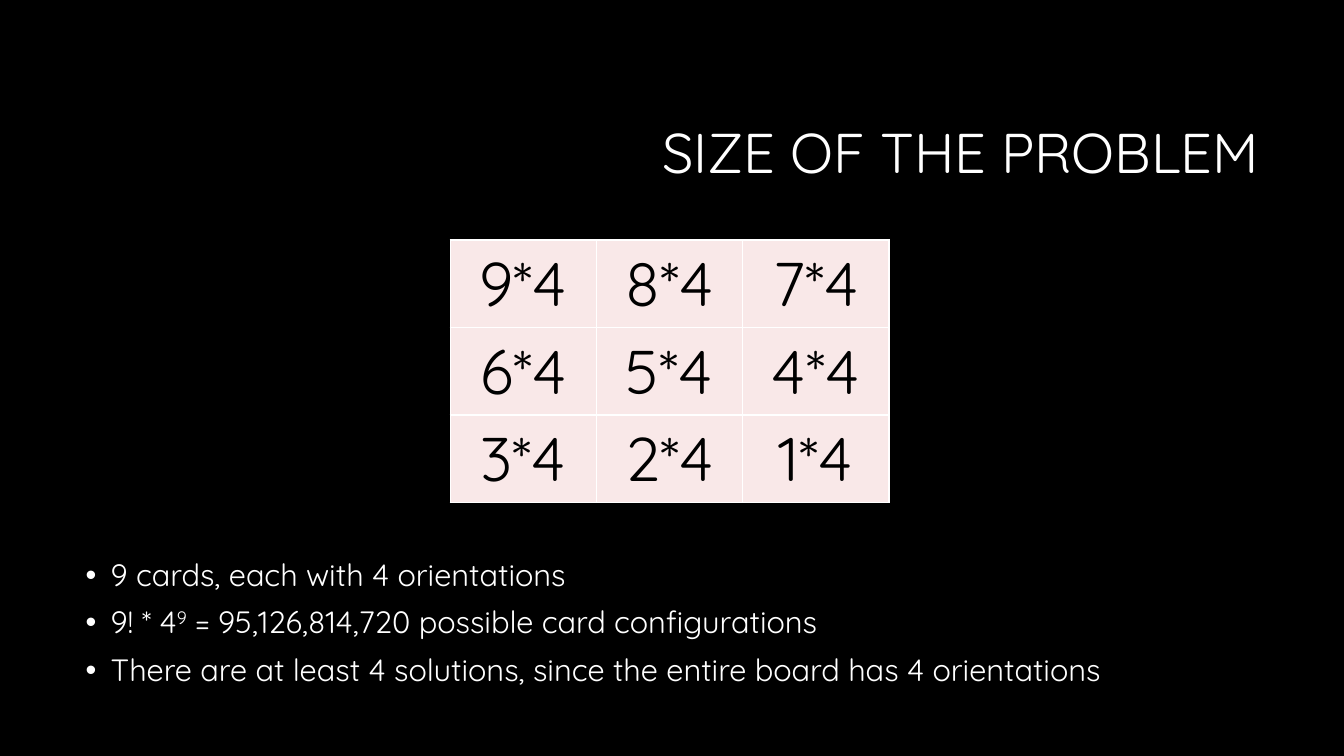
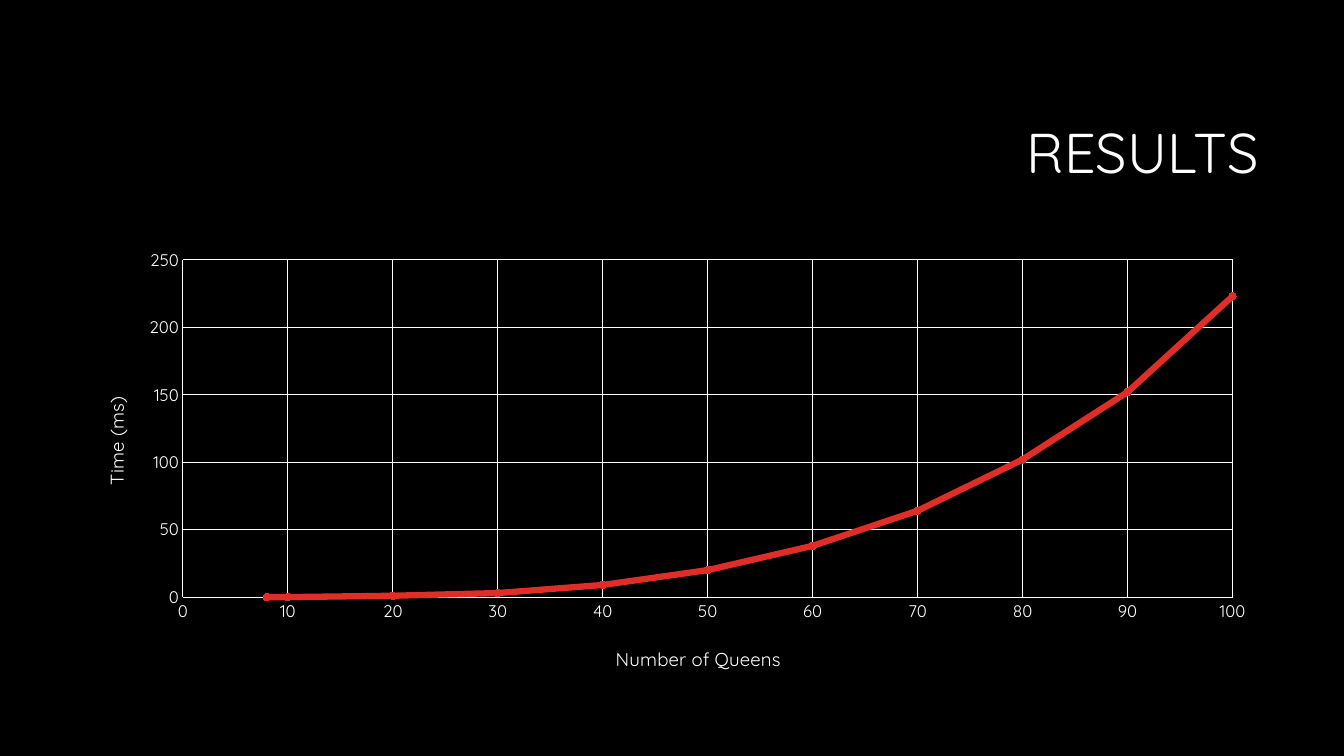
"""Builds two dark slides: the size of a card puzzle and timing results."""
from lxml import etree
from pptx import Presentation
from pptx import util as u
from pptx.chart.data import XyChartData
from pptx.dml.color import RGBColor
from pptx.enum import chart as ch, text
from pptx.oxml import ns

Pt = u.Pt
FONT = "Quicksand"
BLACK = RGBColor(0x00, 0x00, 0x00)
WHITE = RGBColor(0xFF, 0xFF, 0xFF)
PINK = RGBColor(0xF9, 0xE8, 0xE8)
RED = RGBColor(0xDF, 0x2E, 0x28)
LEFT, WIDTH = 54, 852
LINE_SPACING = 0.9

BULLETS = [
    ["9 cards, each with 4 orientations"],
    ["9! * 4", "9", " = 95,126,814,720 possible card configurations"],
    ["There are at least 4 solutions, since the entire board has 4 orientations"],
]
QUEENS = [8, 10, 20, 30, 40, 50, 60, 70, 80, 90, 100]
TIMES = [0, 0, 1, 3, 9, 20, 38, 64, 102, 152, 223]


def style_font(font, size, color=WHITE):
    """Apply the deck's typeface with a size and colour."""
    font.name = FONT
    font.size = Pt(size)
    font.bold = False
    font.color.rgb = color


def add_child(parent, tag, **attributes):
    """Append an XML child with the given attributes."""
    child = etree.SubElement(parent, ns.qn(tag))
    for name, value in attributes.items():
        child.set(name, str(value))
    return child


def add_titled_slide(deck, heading):
    """Add a black slide with a right-aligned title."""
    slide = deck.slides.add_slide(deck.slide_layouts[5])
    slide.background.fill.solid()
    slide.background.fill.fore_color.rgb = BLACK
    title = slide.shapes.title
    title.left, title.top, title.width, title.height = Pt(228), Pt(60.5), Pt(678.5), Pt(101.5)
    frame = title.text_frame
    frame.text = heading
    frame.auto_size = text.MSO_AUTO_SIZE.NONE
    frame.vertical_anchor = text.MSO_ANCHOR.MIDDLE
    line = frame.paragraphs[0]
    line.alignment = text.PP_ALIGN.RIGHT
    line.line_spacing = LINE_SPACING
    style_font(line.runs[0].font, 40)
    return slide


def add_bullets(slide, items, top, height):
    """Add a bulleted list whose second run in an item is superscript."""
    frame = slide.shapes.add_textbox(Pt(LEFT), Pt(top), Pt(WIDTH), Pt(height)).text_frame
    frame.word_wrap = True
    for number, pieces in enumerate(items):
        item = frame.add_paragraph() if number else frame.paragraphs[0]
        item.line_spacing = LINE_SPACING
        item.space_before = Pt(10)
        properties = item._p.get_or_add_pPr()
        properties.set("marL", str(Pt(18)))
        properties.set("indent", str(-Pt(18)))
        add_child(properties, "a:buFont", typeface="Arial")
        add_child(properties, "a:buChar", char="•")
        for position, piece in enumerate(pieces):
            run = item.add_run()
            run.text = piece
            style_font(run.font, 22)
            if position == 1:
                run.font._element.set("baseline", "30000")


def add_borders(cell):
    """Draw a thin white line on every side of a cell."""
    properties = cell._tc.get_or_add_tcPr()
    for order, side in enumerate(("a:lnL", "a:lnR", "a:lnT", "a:lnB")):
        border = add_child(properties, side, w=Pt(1))
        add_child(add_child(border, "a:solidFill"), "a:srgbClr", val=WHITE)
        properties.insert(order, border)


def add_choice_grid(slide, side=3):
    """Add the table of choices left for each board position."""
    column_width, row_height = 104.5, 62.5
    grid = slide.shapes.add_table(side, side, Pt(321.5), Pt(171.5),
                                  Pt(side * column_width), Pt(side * row_height)).table
    grid.first_row = grid.horz_banding = False
    for column in grid.columns:
        column.width = Pt(column_width)
    for row in grid.rows:
        row.height = Pt(row_height)
    for position, cell in enumerate(grid.iter_cells()):
        cell.text_frame.text = f"{side * side - position}*4"
        choice = cell.text_frame.paragraphs[0]
        choice.alignment = text.PP_ALIGN.CENTER
        style_font(choice.runs[0].font, 44, BLACK)
        cell.fill.solid()
        cell.fill.fore_color.rgb = PINK
        add_borders(cell)


def place_in_chart(element, index, **fractions):
    """Give a chart part a manual layout in fractions of the chart."""
    for old in element.findall(ns.qn("c:layout")):
        element.remove(old)
    layout = add_child(element, "c:layout")
    manual = add_child(layout, "c:manualLayout")
    if "w" in fractions:
        add_child(manual, "c:layoutTarget", val="inner")
    add_child(manual, "c:xMode", val="edge")
    add_child(manual, "c:yMode", val="edge")
    for name, value in fractions.items():
        add_child(manual, f"c:{name}", val=value)
    element.insert(index, layout)


def style_axis(axis, label, maximum, step, x, y, rotation):
    """Set an axis's scale, white lines and placed title."""
    axis.minimum_scale, axis.maximum_scale, axis.major_unit = 0, maximum, step
    axis.major_tick_mark = axis.minor_tick_mark = ch.XL_TICK_MARK.NONE
    axis.has_major_gridlines = True
    for line in (axis.format.line, axis.major_gridlines.format.line):
        line.color.rgb = WHITE
        line.width = Pt(0.75)
    style_font(axis.tick_labels.font, 12)
    axis.tick_labels.number_format = "General"
    axis.tick_labels.number_format_is_linked = False
    frame = axis.axis_title.text_frame
    frame.text = label
    style_font(frame.paragraphs[0].runs[0].font, 13.3)
    frame._txBody.find(ns.qn("a:bodyPr")).set("rot", str(rotation))
    place_in_chart(axis.axis_title._element, 1, x=x, y=y)


def add_timing_chart(slide):
    """Add the chart of run time against number of queens."""
    data = XyChartData()
    timings = data.add_series("Series 1")
    for queens, time in zip(QUEENS, TIMES):
        timings.add_data_point(queens, time)
    chart = slide.shapes.add_chart(ch.XL_CHART_TYPE.XY_SCATTER_LINES, Pt(LEFT), Pt(173),
                                   Pt(WIDTH), Pt(317), data).chart
    chart.has_legend = chart.has_title = False
    style_font(chart.font, 10)
    style_axis(chart.category_axis, "Number of Queens", 100, 10, 0.45, 0.9, 0)
    style_axis(chart.value_axis, "Time (ms)", 250, 50, 0.02, 0.34, -5400000)
    plot = chart.plots[0]
    plot.vary_by_categories = False
    curve = plot.series[0]
    curve.smooth = False
    curve.format.line.color.rgb = RED
    curve.format.line.width = Pt(4.5)
    curve.marker.style = ch.XL_MARKER_STYLE.CIRCLE
    curve.marker.size = 5
    curve.marker.format.fill.solid()
    curve.marker.format.fill.fore_color.rgb = RED
    curve.marker.format.line.color.rgb = RED
    plot_area = chart._chartSpace.find(".//" + ns.qn("c:plotArea"))
    place_in_chart(plot_area, 0, x=0.09, y=0.04, w=0.88, h=0.76)


def main():
    """Build and save the deck."""
    deck = Presentation()
    deck.slide_width, deck.slide_height = Pt(960), Pt(540)
    problem = add_titled_slide(deck, "SIZE OF THE PROBLEM")
    add_bullets(problem, BULLETS, 396.5, 116.5)
    add_choice_grid(problem)
    results = add_titled_slide(deck, "RESULTS")
    add_timing_chart(results)
    deck.save("out.pptx")


if __name__ == "__main__":
    main()
